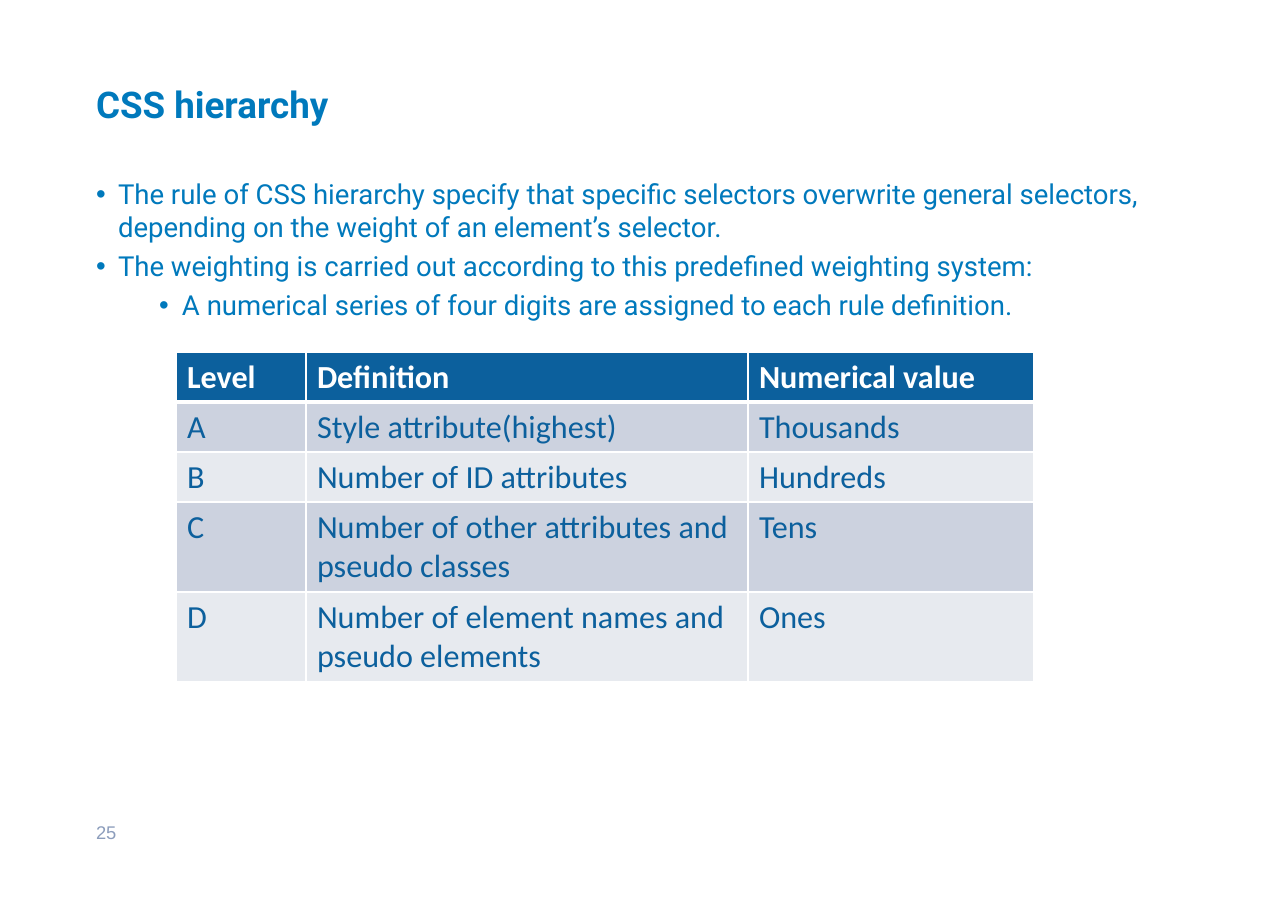
from lxml import etree
from pptx import Presentation
from pptx.dml.color import RGBColor
from pptx.enum.text import MSO_ANCHOR
from pptx.oxml.ns import qn
from pptx.util import Emu, Pt

MIDDLE, TOP = MSO_ANCHOR.MIDDLE, MSO_ANCHOR.TOP
EMU_PER_PX = 8298
COLORS = {
    "text": "0079BC",
    "number": "8C9DBC",
    "table": "0C609D",
    "band_dark": "CCD2DF",
    "band_light": "E7EAEF",
    "white": "FFFFFF",
}

# Bullets: level, left margin, hanging indent, text
BULLETS = [
    (0, 22, 22, "The rule of CSS hierarchy specify that specific selectors overwrite "
                "general selectors, depending on the weight of an element’s selector."),
    (0, 22, 22, "The weighting is carried out according to this predefined "
                "weighting system:"),
    (1, 86, 23, "A numerical series of four digits are assigned to each rule definition."),
]

# Weighting table
ROWS = [
    ("Level", "Definition", "Numerical value"),
    ("A", "Style attribute(highest)", "Thousands"),
    ("B", "Number of ID attributes", "Hundreds"),
    ("C", "Number of other attributes and pseudo classes", "Tens"),
    ("D", "Number of element names and pseudo elements", "Ones"),
]
COLUMN_WIDTHS = [130, 442, 286]
ROW_HEIGHTS = [50, 50, 50, 90, 90]


def px(length):
    return Emu(length * EMU_PER_PX)


def rgb(name):
    return RGBColor.from_string(COLORS[name])


def style(paragraph, size, font_name, color, bold=False):
    font = paragraph.font
    font.size, font.name, font.bold = Pt(size), font_name, bold
    font.color.rgb = rgb(color)


def add_text_frame(slide, left, top, width, height, anchor=TOP):
    box = slide.shapes.add_textbox(px(left), px(top), px(width), px(height))
    frame = box.text_frame
    frame.word_wrap = True
    frame.vertical_anchor = anchor
    frame.margin_left = frame.margin_right = px(12)
    frame.margin_top = frame.margin_bottom = px(6)
    return frame


def add_label(slide, text, box, size, font_name, color, bold=False, anchor=TOP):
    paragraph = add_text_frame(slide, *box, anchor=anchor).paragraphs[0]
    paragraph.text = text
    style(paragraph, size, font_name, color, bold)


def set_bullet(paragraph, margin, hanging):
    properties = paragraph._p.get_or_add_pPr()
    properties.set("marL", str(px(margin)))
    properties.set("indent", str(px(-hanging)))
    etree.SubElement(properties, qn("a:buFont")).set("typeface", "Arial")
    etree.SubElement(properties, qn("a:buChar")).set("char", "•")


def add_bullets(slide, box, bullets):
    frame = add_text_frame(slide, *box)
    for index, (level, margin, hanging, text) in enumerate(bullets):
        paragraph = frame.add_paragraph() if index else frame.paragraphs[0]
        paragraph.text = text
        paragraph.level = level
        set_bullet(paragraph, margin, hanging)
        if index:
            paragraph.space_before = Pt(4)
        style(paragraph, 18, "Roboto", "text")


def set_borders(cell, **widths):
    properties = cell._tc.get_or_add_tcPr()
    for side in "LRTB":
        line = etree.SubElement(properties, qn(f"a:ln{side}"))
        line.set("w", str(Pt(widths.get(side, 1))))
        fill = etree.SubElement(line, qn("a:solidFill"))
        etree.SubElement(fill, qn("a:srgbClr")).set("val", COLORS["white"])


def fill_cell(cell, text, row):
    # A thick rule parts the header from the banded rows
    if row == 0:
        set_borders(cell, B=3)
        fill, color = "table", "white"
    else:
        set_borders(cell, T=3 if row == 1 else 1)
        fill, color = ("band_dark" if row % 2 else "band_light"), "table"
    cell.fill.solid()
    cell.fill.fore_color.rgb = rgb(fill)
    cell.text = text
    style(cell.text_frame.paragraphs[0], 21, "Calibri", color, bold=row == 0)


def add_weight_table(slide, left, top):
    frame = slide.shapes.add_table(
        len(ROWS), len(COLUMN_WIDTHS), px(left), px(top),
        px(sum(COLUMN_WIDTHS)), px(sum(ROW_HEIGHTS)))
    table = frame.table
    for column, width in zip(table.columns, COLUMN_WIDTHS):
        column.width = px(width)
    for row, (texts, height) in enumerate(zip(ROWS, ROW_HEIGHTS)):
        table.rows[row].height = px(height)
        for column, text in enumerate(texts):
            fill_cell(table.cell(row, column), text, row)


def main():
    presentation = Presentation()
    presentation.slide_width, presentation.slide_height = px(1288), px(911)
    slide = presentation.slides.add_slide(presentation.slide_layouts[6])

    # Title and bullets
    add_label(slide, "CSS hierarchy", (84, 36, 1121, 135), 24, "Roboto", "text",
              bold=True, anchor=MIDDLE)
    add_bullets(slide, (84, 171, 1121, 163), BULLETS)

    # Table and page number
    add_weight_table(slide, 176, 352)
    add_label(slide, "25", (84, 815, 281, 48), 12, "Arial", "number")

    presentation.save("out.pptx")


if __name__ == "__main__":
    main()
